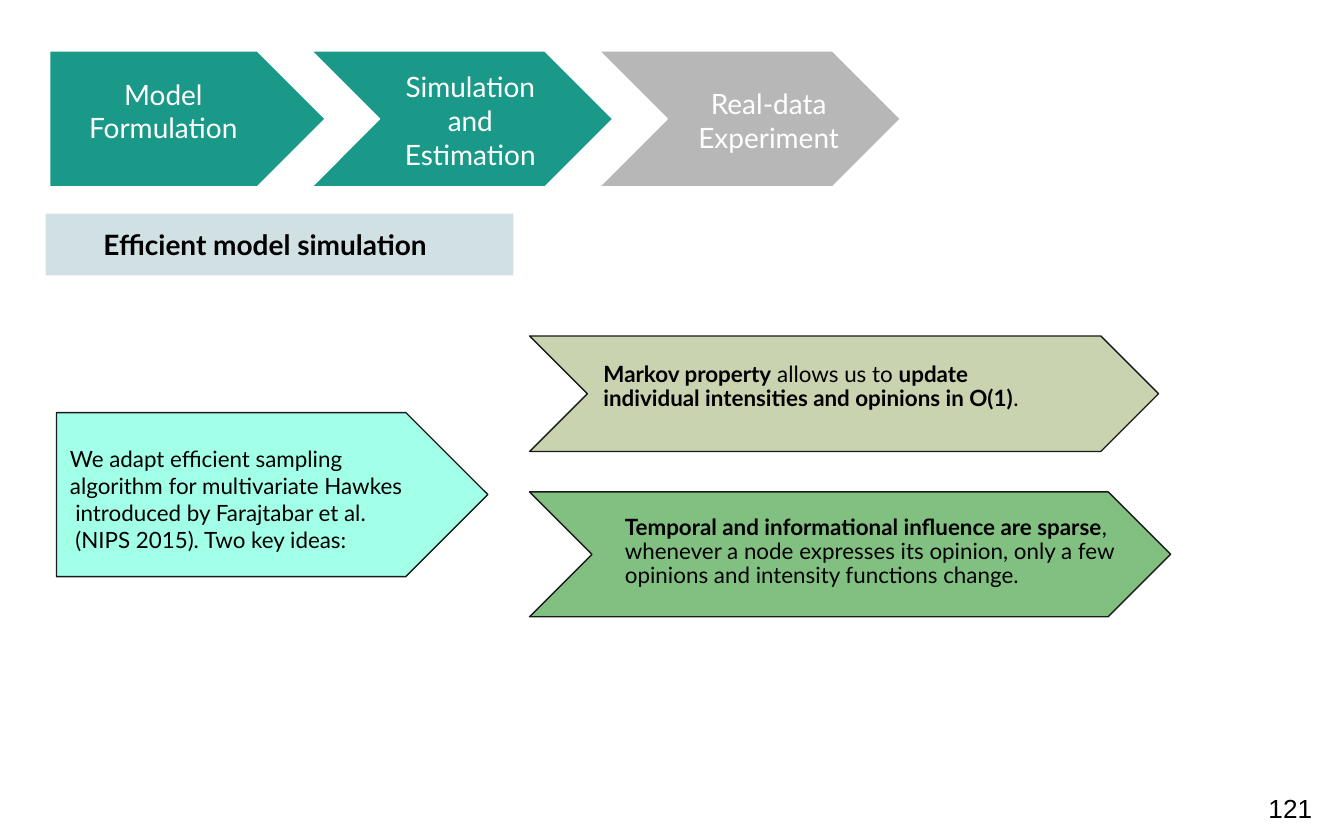
from lxml.etree import SubElement
from pptx import Presentation
from pptx.dml.color import RGBColor
from pptx.enum.shapes import MSO_SHAPE
from pptx.enum.text import MSO_ANCHOR, PP_ALIGN
from pptx.oxml.ns import qn
from pptx.util import Inches, Pt

TEAL, GRAY, WHITE, BLACK, OUTLINE = "1A9988", "B7B7B7", "FFFFFF", "000000", "1A1A1A"


def color(hex_string):
    return RGBColor.from_string(hex_string)


def add_block(slide, kind, box, fill, line=None, opacity=None):
    """Add a filled preset shape; opacity is a percentage."""
    shape = slide.shapes.add_shape(kind, *map(Inches, box))
    shape.shadow.inherit = False
    shape.fill.solid()
    shape.fill.fore_color.rgb = color(fill)
    if opacity is not None:
        color_element = shape.fill._xPr.find(qn("a:solidFill"))[0]
        SubElement(color_element, qn("a:alpha"), val=str(opacity * 1000))
    if line:
        shape.line.color.rgb = color(line)
        shape.line.width = Pt(0.75)
    else:
        shape.line.fill.background()
    return shape


def write_text(shape, paragraphs, size=12, font="Lato", font_color=BLACK, inset=0,
               anchor=MSO_ANCHOR.TOP, align=PP_ALIGN.LEFT, spacing=None, indents=()):
    """Fill a shape with paragraphs, each a list of (text, bold) runs."""
    frame = shape.text_frame
    frame.word_wrap = True
    frame.vertical_anchor = anchor
    frame.margin_left = frame.margin_right = Inches(inset)
    frame.margin_top = frame.margin_bottom = Inches(inset)
    for index, runs in enumerate(paragraphs):
        paragraph = frame.add_paragraph() if index else frame.paragraphs[0]
        paragraph.alignment = align
        if spacing:
            paragraph.line_spacing = spacing
        if indents:
            properties = paragraph._p.get_or_add_pPr()
            properties.set("marL", "0")
            properties.set("indent", str(Inches(indents[index])))
        for text, bold in runs:
            run = paragraph.add_run()
            run.text = text
            run.font.size = Pt(size)
            run.font.name = font
            run.font.bold = bold
            run.font.color.rgb = color(font_color)


def add_text(slide, box, paragraphs, **style):
    write_text(slide.shapes.add_textbox(*map(Inches, box)), paragraphs, **style)


def add_step(slide, kind, left, width, fill, label, label_box):
    add_block(slide, kind, (left, 0.38, width, 1.01), fill, WHITE)
    add_text(slide, label_box, [[(label, False)]], size=15, font_color=WHITE,
             inset=0.1, anchor=MSO_ANCHOR.MIDDLE, align=PP_ALIGN.CENTER)


def add_idea(slide, box, fill, opacity, text_box, paragraphs):
    add_block(slide, MSO_SHAPE.CHEVRON, box, fill, OUTLINE, opacity)
    add_text(slide, text_box, paragraphs, spacing=0.9)


def main():
    presentation = Presentation()
    presentation.slide_width = Inches(10)
    presentation.slide_height = Inches(6.25)
    slide = presentation.slides.add_slide(presentation.slide_layouts[6])

    add_step(slide, MSO_SHAPE.PENTAGON, 0.37, 2.05, TEAL,
             "Model Formulation", (0.42, 0.51, 1.59, 0.63))
    add_step(slide, MSO_SHAPE.CHEVRON, 2.32, 2.24, TEAL,
             "Simulation and Estimation", (2.78, 0.58, 1.44, 0.63))
    add_step(slide, MSO_SHAPE.CHEVRON, 4.46, 2.24, GRAY,
             "Real-data Experiment", (5, 0.58, 1.44, 0.63))

    heading = add_block(slide, MSO_SHAPE.RECTANGLE, (0.34, 1.59, 3.48, 0.46), "D0E0E3")
    write_text(heading, [[("Efficient model simulation", True)]], size=15,
               anchor=MSO_ANCHOR.MIDDLE, indents=[0.43])

    add_block(slide, MSO_SHAPE.PENTAGON, (0.42, 3.07, 3.21, 1.22), "A2FFE8", OUTLINE)
    approach = ["We adapt efficient sampling", "algorithm for multivariate Hawkes",
                "introduced by Farajtabar et al.", "(NIPS 2015). Two key ideas:"]
    add_text(slide, (0.43, 3.17, 3.48, 1.09), [[(line, False)] for line in approach],
             inset=0.09, anchor=MSO_ANCHOR.MIDDLE, indents=[0, 0, 0.04, 0.04])

    add_idea(slide, (3.94, 2.5, 4.68, 0.86), "A8B97F", 62, (4.49, 2.7, 4.1, 0.74), [
        [("Markov property", True), (" allows us to ", False), ("update", True)],
        [("individual intensities and opinions in O(1)", True), (".", False)],
    ])
    add_idea(slide, (3.94, 3.66, 4.77, 0.93), "008000", 49, (4.65, 3.84, 3.97, 0.51), [
        [("Temporal and informational influence are sparse", True),
         (", whenever a node expresses its opinion, only a few opinions and "
          "intensity functions change.", False)],
    ])

    add_text(slide, (9.34, 5.77, 0.6, 0.48), [[("121", False)]], size=14, font="Arial",
             inset=0.1, anchor=MSO_ANCHOR.MIDDLE)
    presentation.save("out.pptx")


if __name__ == "__main__":
    main()
